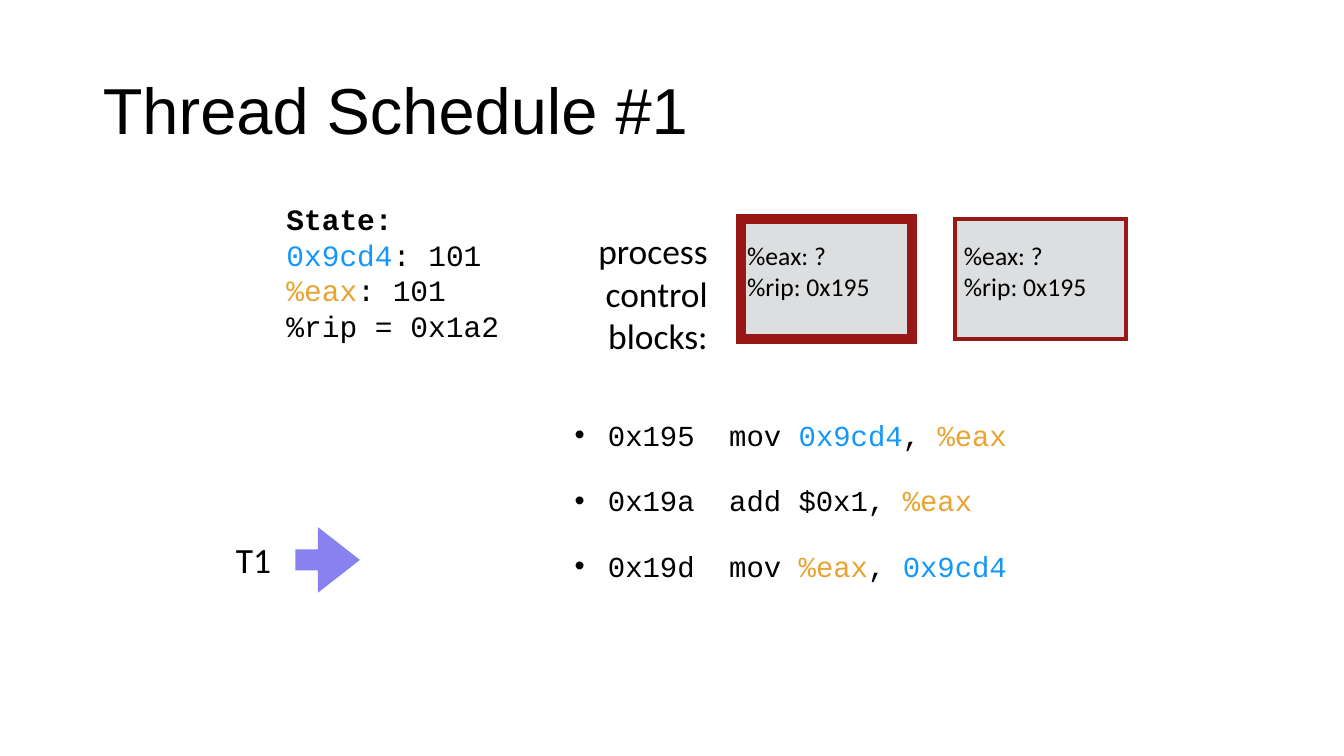
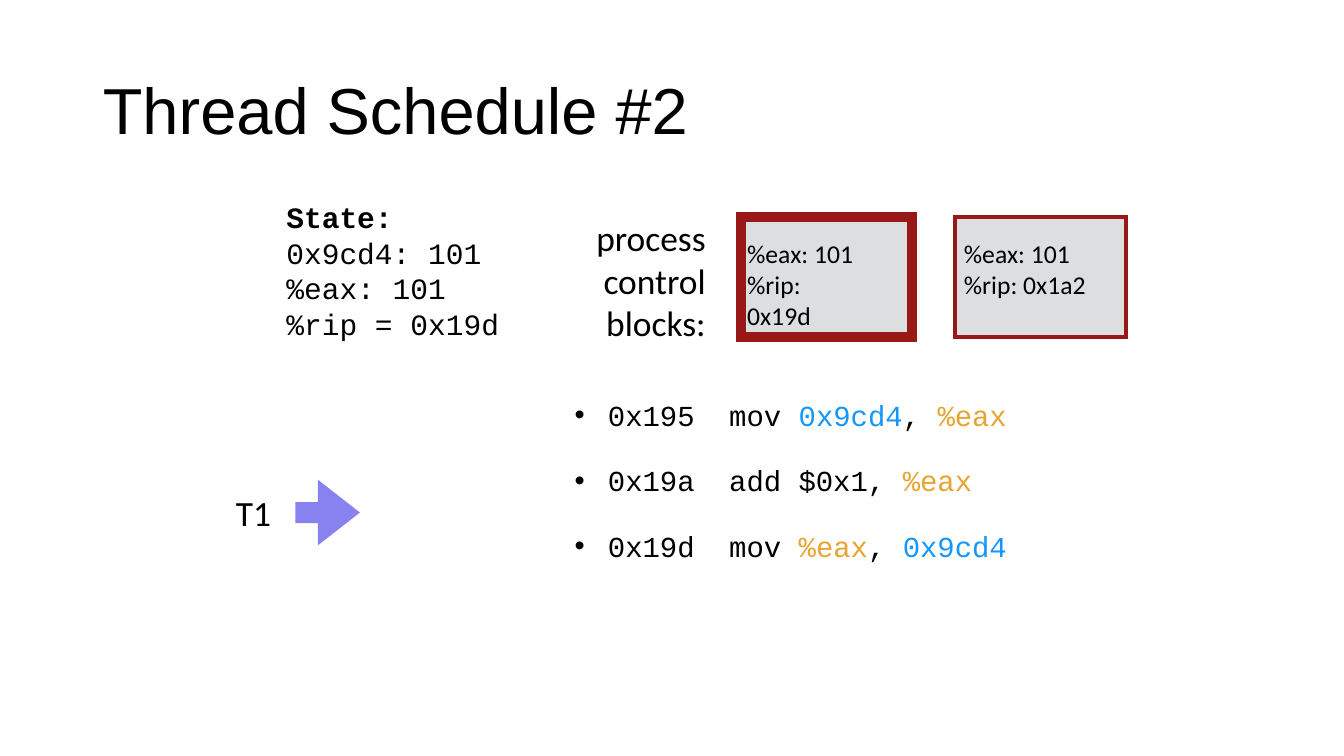
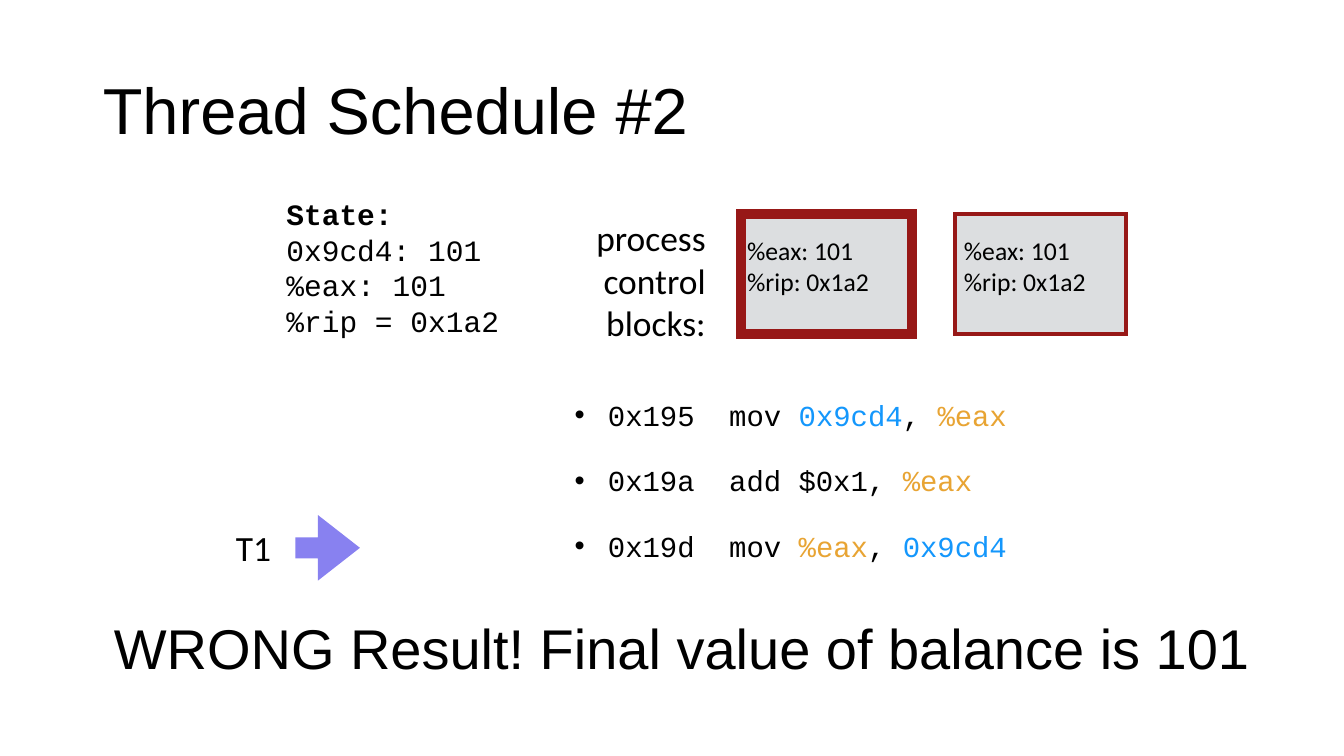
from dataclasses import dataclass

from lxml.etree import SubElement
from pptx import Presentation
from pptx.dml.color import RGBColor
from pptx.enum.shapes import MSO_SHAPE
from pptx.enum.text import MSO_ANCHOR, MSO_AUTO_SIZE, PP_ALIGN
from pptx.oxml.ns import qn
from pptx.slide import Slide, SlideLayout
from pptx.text.text import TextFrame
from pptx.util import Inches, Pt

BLACK = "000000"
ADDRESS = "1497FC"
REGISTER = "E8A433"
BLOCK_FILL = "DCDEE0"
BLOCK_LINE = "971817"
ARROW = "8881F0"


@dataclass(frozen=True)
class Span:
    text: str
    color: str = BLACK
    bold: bool = False


@dataclass(frozen=True)
class Style:
    font: str
    size: float
    align: PP_ALIGN = PP_ALIGN.LEFT
    anchor: MSO_ANCHOR = MSO_ANCHOR.MIDDLE
    inset: float = 0.04


@dataclass(frozen=True)
class Area:
    left: float
    top: float
    width: float
    height: float

    def lengths(self) -> tuple[Inches, ...]:
        return tuple(Inches(value) for value in (self.left, self.top, self.width, self.height))


@dataclass(frozen=True)
class ControlBlock:
    left: float
    text_left: float
    line_width: float


Line = tuple[Span, ...]


@dataclass(frozen=True)
class Step:
    title: str
    state: tuple[Line, ...]
    registers: tuple[tuple[str, str], ...]
    block_top: float
    thread_top: float
    label_left: float
    label_top: float
    code_top: float
    verdict: str = ""


TITLE = Style("Arial", 46.4)
STATE = Style("Courier New", 21.1)
LABEL = Style("Calibri", 25.3)
REGISTERS = Style("Calibri", 18.3, anchor=MSO_ANCHOR.TOP, inset=0)
PROCESS = Style("Calibri", 25.3, align=PP_ALIGN.RIGHT)
VERDICT = Style("Arial", 40)
CODE = Style("Courier New", 20.7, anchor=MSO_ANCHOR.TOP)

BLOCKS = (ControlBlock(7.35, 7.41, 7), ControlBlock(9.47, 9.56, 3))

CELL = Span("0x9cd4", ADDRESS)
EAX = Span("%eax", REGISTER)
COMMA = Span(", ")
PROGRAM: tuple[Line, ...] = (
    (Span("0x195  mov "), CELL, COMMA, EAX),
    (Span("0x19a  add $0x1, "), EAX),
    (Span("0x19d  mov "), EAX, COMMA, CELL),
)


def plain(*texts: str) -> tuple[Line, ...]:
    return tuple((Span(text),) for text in texts)


STEPS = (
    Step("Thread Schedule #1",
         ((CELL, Span(": 101")), (EAX, Span(": 101")), (Span("%rip = 0x1a2"),)),
         (("%eax: ?", "%rip: 0x195"), ("%eax: ?", "%rip: 0x195")),
         2.17, 5.3, 5.88, 2.23, 4.1),
    Step("Thread Schedule #2",
         plain("0x9cd4: 101", "%eax: 101", "%rip = 0x19d"),
         (("%eax: 101", "%rip: 0x19d"), ("%eax: 101", "%rip: 0x1a2")),
         2.15, 4.83, 5.86, 2.1, 3.9),
    Step("Thread Schedule #2",
         plain("0x9cd4: 101", "%eax: 101", "%rip = 0x1a2"),
         (("%eax: 101", "%rip: 0x1a2"), ("%eax: 101", "%rip: 0x1a2")),
         2.12, 5.18, 5.86, 2.1, 3.9,
         "WRONG Result! Final value of balance is 101"),
)


def rgb(color: str) -> RGBColor:
    return RGBColor.from_string(color)


def write(frame: TextFrame, lines: tuple[Line, ...], style: Style) -> None:
    frame.vertical_anchor = style.anchor
    for index, line in enumerate(lines):
        para = frame.paragraphs[0] if index == 0 else frame.add_paragraph()
        para.alignment = style.align
        for span in line:
            run = para.add_run()
            run.text = span.text
            run.font.name = style.font
            run.font.size = Pt(style.size)
            run.font.bold = span.bold
            run.font.color.rgb = rgb(span.color)


def set_insets(frame: TextFrame, side: float, end: float) -> None:
    frame.margin_left = frame.margin_right = Inches(side)
    frame.margin_top = frame.margin_bottom = Inches(end)


def add_text(page: Slide, area: Area, lines: tuple[Line, ...], style: Style) -> None:
    frame = page.shapes.add_textbox(*area.lengths()).text_frame
    frame.word_wrap = False
    frame.auto_size = MSO_AUTO_SIZE.SHAPE_TO_FIT_TEXT
    set_insets(frame, style.inset, style.inset)
    write(frame, lines, style)


def add_title(page: Slide, text: str) -> None:
    title = page.shapes.title
    title.left, title.top, title.width, title.height = Area(0.92, 0.4, 11.5, 1.45).lengths()
    title.text_frame.auto_size = MSO_AUTO_SIZE.NONE
    write(title.text_frame, plain(text), TITLE)
    title.text_frame.paragraphs[0].line_spacing = 0.9


def add_block(page: Slide, block: ControlBlock, top: float, registers: tuple[str, str]) -> None:
    box = page.shapes.add_shape(MSO_SHAPE.RECTANGLE, *Area(block.left, top, 1.7, 1.19).lengths())
    box.shadow.inherit = False
    box.fill.solid()
    box.fill.fore_color.rgb = rgb(BLOCK_FILL)
    box.line.color.rgb = rgb(BLOCK_LINE)
    box.line.width = Pt(block.line_width)
    SubElement(box.element.spPr.find(qn("a:ln")), qn("a:miter"), lim="800000")
    add_text(page, Area(block.text_left, top + 0.21, 1.22, 0.62), plain(*registers), REGISTERS)


def add_thread(page: Slide, top: float) -> None:
    add_text(page, Area(2.3, top, 0.43, 0.5), plain("T1"), LABEL)
    arrow = page.shapes.add_shape(MSO_SHAPE.RIGHT_ARROW, *Area(2.93, top - 0.07, 0.64, 0.65).lengths())
    arrow.adjustments[0] = 0.32
    arrow.adjustments[1] = 0.65
    arrow.shadow.inherit = False
    arrow.fill.solid()
    arrow.fill.fore_color.rgb = rgb(ARROW)
    arrow.line.fill.background()


def add_program(page: Slide, top: float) -> None:
    body = page.placeholders[1]
    body.left, body.top, body.width, body.height = Area(5.63, top, 6.04, 1.51).lengths()
    frame = body.text_frame
    frame.auto_size = MSO_AUTO_SIZE.NONE
    set_insets(frame, 0.07, 0.04)
    write(frame, PROGRAM, CODE)
    for index, para in enumerate(frame.paragraphs):
        properties = para._p.get_or_add_pPr()
        properties.set("marL", str(Inches(0.33)))
        properties.set("indent", str(-Inches(0.33)))
        SubElement(properties, qn("a:buFont"), typeface="Arial")
        SubElement(properties, qn("a:buChar"), char="•")
        para.space_before = Pt(22 if index else 0)


def build_step(page: Slide, step: Step) -> None:
    add_title(page, step.title)
    for block, registers in zip(BLOCKS, step.registers):
        add_block(page, block, step.block_top, registers)
    heading = (Span("State:", bold=True),)
    add_text(page, Area(2.8, step.block_top - 0.22, 2.22, 1.5), (heading, *step.state), STATE)
    add_thread(page, step.thread_top)
    add_text(page, Area(step.label_left, step.label_top, 1.18, 1.36),
             plain("process", "control", "blocks:"), PROCESS)
    add_program(page, step.code_top)
    if step.verdict:
        add_text(page, Area(1.09, 6.04, 11.46, 0.75), plain(step.verdict), VERDICT)


def main() -> None:
    deck = Presentation()
    deck.slide_width = Inches(13.33)
    deck.slide_height = Inches(7.5)
    layout: SlideLayout = deck.slide_layouts[1]
    for step in STEPS:
        build_step(deck.slides.add_slide(layout), step)
    deck.save("out.pptx")


if __name__ == "__main__":
    main()
